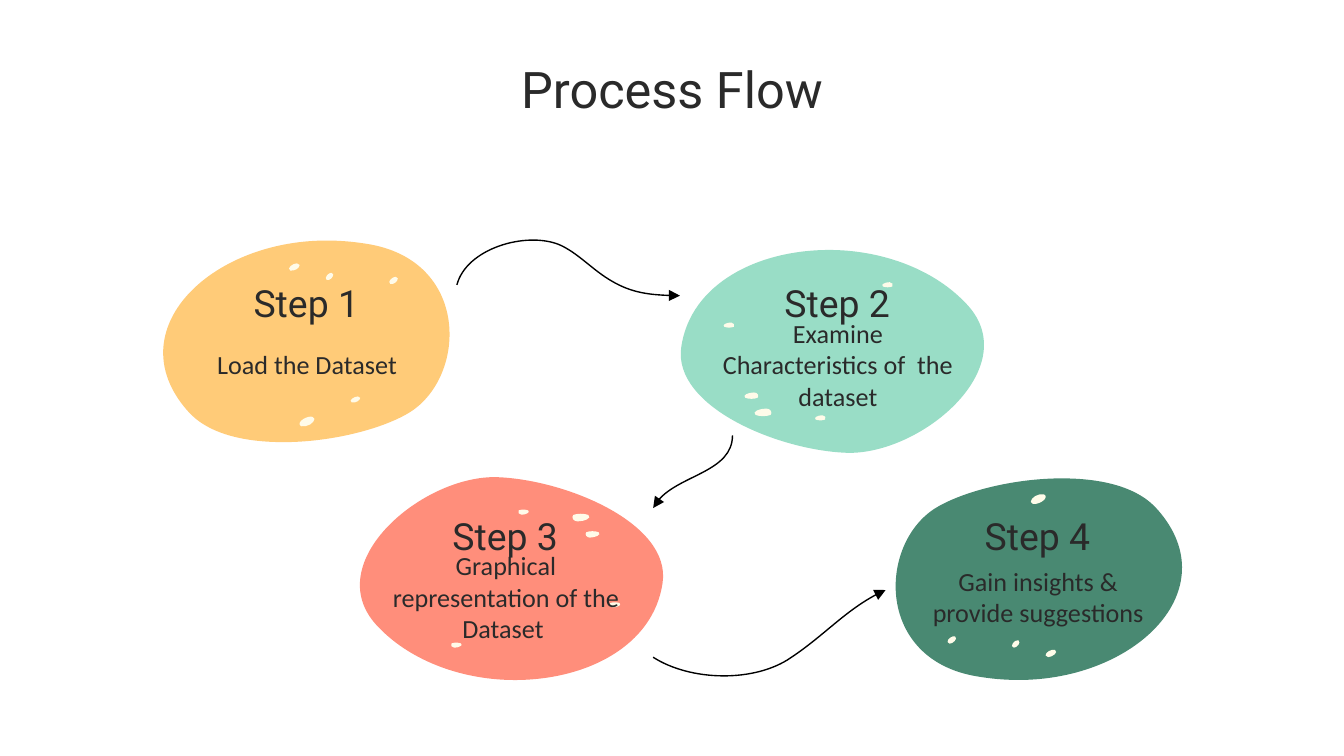
from pptx import Presentation
from pptx.dml.color import RGBColor
from pptx.enum.text import MSO_ANCHOR as Anchor, PP_ALIGN as Align
from pptx.oxml.ns import qn
from pptx.util import Inches, Pt
from lxml.etree import SubElement

INK, SPOT = "2A2A2A", "FFFBE9"
WIDTH, HEIGHT = 2.64, 1.51

LEANING = [(1.55, 0), (0.68, 0), (0, 0.67), (0.51, 1.26), (0.66, 1.44), (0.94, 1.5),
           (1.23, 1.5), (1.57, 1.5), (1.94, 1.41), (2.15, 1.29), (2.59, 1.04),
           (2.63, 0.17), (1.88, 0.03), (1.77, 0.01), (1.66, 0), (1.55, 0)]
ROUNDED = [(1.17, 0), (0.64, 0), (0.14, 0.25), (0.07, 0.72), (0, 1.17), (0.81, 1.5),
           (1.32, 1.51), (1.88, 1.51), (2.64, 0.85), (2.18, 0.39), (1.93, 0.13),
           (1.54, 0), (1.17, 0)]
TILTED_SPOT = [(0.8, 0), (0.5, 0), (0, 0.6), (0.3, 0.9), (0.6, 1), (1, 0.6), (1, 0.2),
               (0.9, 0), (0.9, 0), (0.8, 0)]
FLAT_SPOT = [(0.7, 0), (0.4, 0), (0, 0.4), (0.2, 0.8), (0.4, 1), (0.7, 1), (0.9, 0.8),
             (1, 0.5), (0.9, 0), (0.7, 0)]
LEANING_SPOTS = [(2, 0.27, 0.08, 0.06), (1.25, 0.17, 0.1, 0.06), (1.53, 0.24, 0.07, 0.06),
                 (1.32, 1.31, 0.14, 0.08), (1.71, 1.16, 0.09, 0.05)]
ROUNDED_SPOTS = [(1.05, 1.23, 0.1, 0.04), (0.37, 0.54, 0.1, 0.04), (1.55, 0.24, 0.1, 0.04),
                 (0.52, 1.06, 0.13, 0.05), (0.59, 1.18, 0.16, 0.06)]

STEPS = [
    ("Step 3", "Graphical representation of the Dataset ", (2.36, 3.55), "FF8E7B",
     ROUNDED, FLAT_SPOT, ROUNDED_SPOTS, True, (0.42, 0.57)),
    ("Step 1", "Load the Dataset", (0.88, 1.79), "FFCB78",
     LEANING, TILTED_SPOT, LEANING_SPOTS, False, (0.42, 0.6)),
    ("Step 2", "Examine Characteristics of  the dataset", (5, 1.86), "99DDC6",
     ROUNDED, FLAT_SPOT, ROUNDED_SPOTS, False, (0.25, 0.53)),
    ("Step 4", "Gain insights & provide suggestions", (6.49, 3.55), "498972",
     LEANING, TILTED_SPOT, LEANING_SPOTS[:4], True, (0.25, 0.57)),
]
ARROWS = [
    [(3.4, 2.12), (3.47, 1.85), (3.91, 1.72), (4.16, 1.82), (4.3, 1.88), (4.41, 2.01),
     (4.55, 2.09), (4.7, 2.18), (4.89, 2.2), (5.06, 2.2)],
    [(5.45, 3.24), (5.45, 3.51), (4.98, 3.54), (4.86, 3.78)],
    [(4.86, 4.89), (5.14, 5.07), (5.62, 5.08), (5.89, 4.89), (6.13, 4.73), (6.32, 4.51),
     (6.59, 4.39)],
]


def color(value):
    """Turn a hex string into a colour."""
    return RGBColor.from_string(value)


def add_curve(shapes, points, closed):
    """Draw a chain of cubic curves through start, control and end points."""
    points = [(Inches(x), Inches(y)) for x, y in points]
    builder = shapes.build_freeform(*points[0])
    builder.add_line_segments(points[1:], close=closed)
    shape = builder.convert_to_shape()
    shape.shadow.inherit = False
    segments = list(shape._element.iter(qn("a:lnTo")))
    for index in range(0, len(segments), 3):
        first, *others = segments[index:index + 3]
        first.tag = qn("a:cubicBezTo")
        for segment in others:
            first.append(segment[0])
            segment.getparent().remove(segment)
    return shape


def add_filled(shapes, points, fill):
    """Draw a closed curve without an outline."""
    shape = add_curve(shapes, points, True)
    shape.fill.solid()
    shape.fill.fore_color.rgb = color(fill)
    shape.line.fill.background()


def add_text(shapes, text, box, size, font):
    """Place a centred text in a box."""
    frame = shapes.add_textbox(*map(Inches, box)).text_frame
    margins = dict.fromkeys(("margin_left", "margin_top", "margin_right", "margin_bottom"),
                            Inches(0.1))
    for name, value in {"word_wrap": True, "vertical_anchor": Anchor.MIDDLE, **margins}.items():
        setattr(frame, name, value)
    para = frame.paragraphs[0]
    para.alignment = Align.CENTER
    span = para.add_run()
    span.text = text
    for name, value in {"size": Pt(size), "name": font}.items():
        setattr(span.font, name, value)
    span.font.color.rgb = color(INK)


def add_step(page, heading, body, corner, fill, outline, spot, spots, turned, offset):
    """Build one speckled pebble with its heading and description."""
    left, top = corner
    shapes = page.shapes.add_group_shape().shapes

    def place(points):
        """Move points to the pebble, half a turn round if asked."""
        if turned:
            points = [(WIDTH - x, HEIGHT - y) for x, y in points]
        return [(left + x, top + y) for x, y in points]

    add_filled(shapes, place(outline), fill)
    for x, y, width, height in spots:
        add_filled(shapes, place([(x + u * width, y + v * height) for u, v in spot]), SPOT)
    text_left, text_top = left + offset[0], top + offset[1]
    add_text(shapes, body, (text_left, text_top, 1.97, 0.64), 14, "Calibri")
    add_text(shapes, heading, (text_left + 0.15, text_top - 0.27, 1.66, 0.27), 20, "Roboto")


def add_arrow(page, points):
    """Draw a thin curved arrow."""
    arrow = add_curve(page.shapes, points, False)
    arrow.fill.background()
    arrow.line.color.rgb = color("000000")
    arrow.line.width = Pt(0.75)
    SubElement(arrow.line._get_or_add_ln(), qn("a:tailEnd"), type="triangle")


def main():
    """Build the process flow slide."""
    deck = Presentation()
    deck.slide_width, deck.slide_height = Inches(10), Inches(10) * 9 // 16
    page = deck.slides.add_slide(deck.slide_layouts[6])
    add_text(page.shapes, "Process Flow", (0.5, 0.46, 9, 0.39), 27, "Roboto")
    for step in STEPS:
        add_step(page, *step)
    for points in ARROWS:
        add_arrow(page, points)
    deck.save("out.pptx")


if __name__ == "__main__":
    main()
